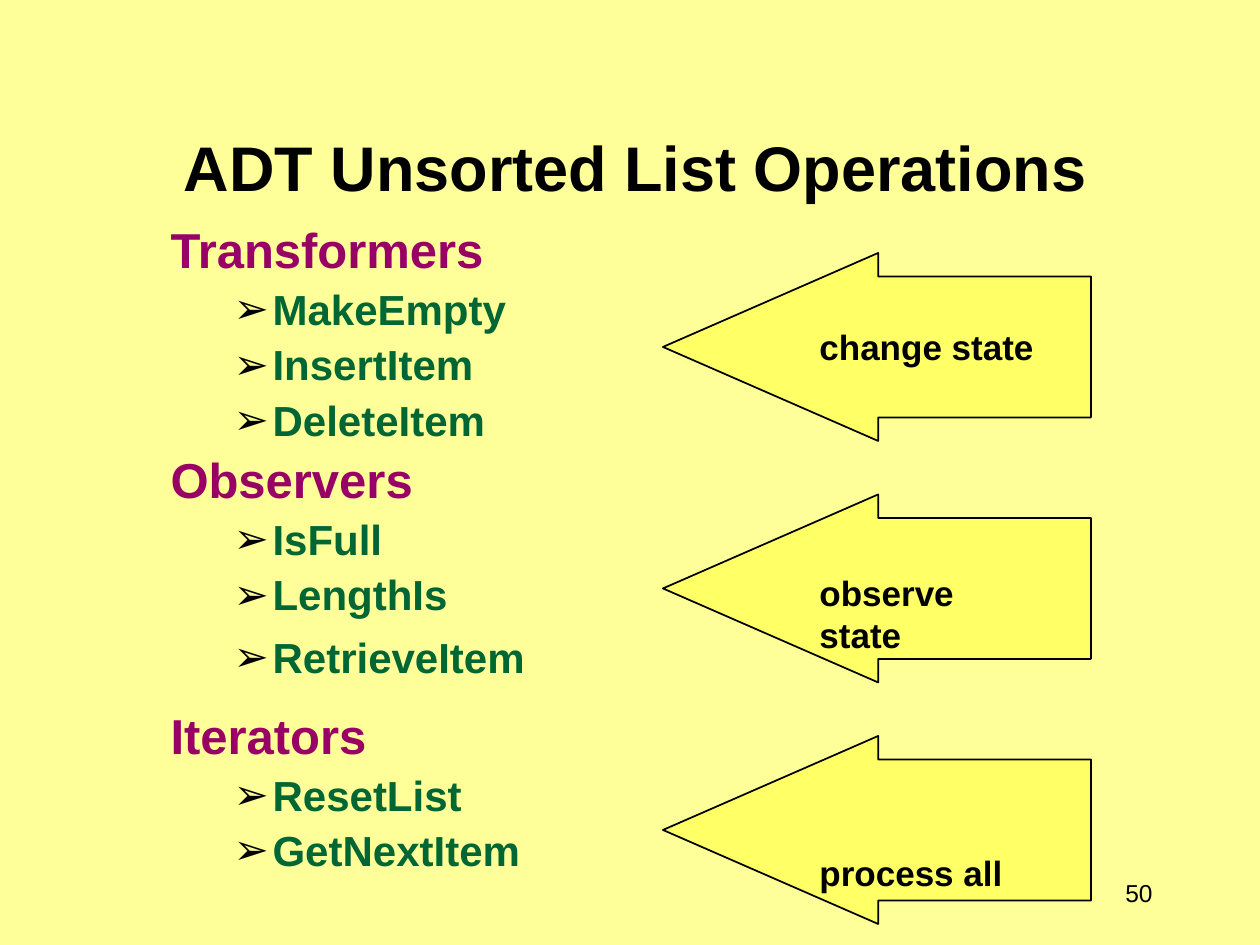
from lxml import etree
from pptx import Presentation
from pptx.dml.color import RGBColor
from pptx.enum.shapes import MSO_SHAPE
from pptx.enum.text import MSO_ANCHOR, MSO_AUTO_SIZE, PP_ALIGN
from pptx.oxml.ns import qn
from pptx.util import Emu, Pt

PX = 914400 / 126
BLACK = RGBColor(0x00, 0x00, 0x00)
PALE_YELLOW = RGBColor(0xFF, 0xFF, 0x99)
YELLOW = RGBColor(0xFF, 0xFF, 0x66)
PURPLE = RGBColor(0x99, 0x00, 0x66)
GREEN = RGBColor(0x00, 0x66, 0x33)

# Heading, space before it, and its operations with their space before
SECTIONS = [
    ("Transformers", 0, [("MakeEmpty", 10), ("InsertItem", 10), ("DeleteItem", 10)]),
    ("Observers", 11, [("IsFull", 10), ("LengthIs", 10), ("RetrieveItem", 17)]),
    ("Iterators", 30, [("ResetList", 10), ("GetNextItem", 10)]),
]
# Label and space before it
LABELS = [("change state", 0), ("observe state", 204), ("process all", 196)]


def px(n):
    return Emu(round(n * PX))


def place(sp, box):
    sp.left, sp.top, sp.width, sp.height = (px(n) for n in box)


def add_run(p, text, size, color=BLACK, bold=True):
    r = p.add_run()
    r.text = text
    r.font.name = "Arial"
    r.font.size = Pt(size)
    r.font.bold = bold
    r.font.color.rgb = color


def next_paragraph(tf):
    """Return the empty first paragraph, or a new one after the text."""
    first = tf.paragraphs[0]
    return tf.add_paragraph() if first.runs else first


def set_bullet(p, char, indent, hanging):
    """Indent the paragraph and give it a bullet, or none if char is empty."""
    pPr = p._p.get_or_add_pPr()
    pPr.set("marL", str(px(indent)))
    pPr.set("indent", str(-px(hanging)))
    if not char:
        etree.SubElement(pPr, qn("a:buNone"))
        return
    color = etree.SubElement(pPr, qn("a:buClr"))
    etree.SubElement(color, qn("a:srgbClr"), val=str(BLACK))
    etree.SubElement(pPr, qn("a:buFont"), typeface="Arial")
    etree.SubElement(pPr, qn("a:buChar"), char=char)


def fill_title(sp, box):
    place(sp, box)
    tf = sp.text_frame
    tf.auto_size = MSO_AUTO_SIZE.NONE
    tf.vertical_anchor = MSO_ANCHOR.BOTTOM
    p = tf.paragraphs[0]
    p.alignment = PP_ALIGN.CENTER
    add_run(p, "ADT Unsorted List Operations", 36)


def fill_operations(sp, box):
    place(sp, box)
    tf = sp.text_frame
    tf.auto_size = MSO_AUTO_SIZE.NONE

    def add_line(text, level, space):
        p = next_paragraph(tf)
        p.level = level
        if level:
            set_bullet(p, "➢", 102, 39)
            add_run(p, text, 24, GREEN)
        else:
            set_bullet(p, "", 47, 47)
            add_run(p, text, 28, PURPLE)
        p.line_spacing = 0.9
        p.space_before = px(space)

    for heading, space, operations in SECTIONS:
        add_line(heading, 0, space)
        for name, gap in operations:
            add_line(name, 1, gap)


def add_arrows(s, box):
    """Stack one arrow per label at equal steps, with the labels over them."""
    left, top, width, height = box
    arrow_height, step = 188, (height - 188) / (len(LABELS) - 1)
    shapes = s.shapes.add_group_shape().shapes
    for i in range(len(LABELS)):
        sp = shapes.add_shape(MSO_SHAPE.LEFT_ARROW, px(left), px(top + i * step),
                              px(width), px(arrow_height))
        sp.adjustments[0] = 0.75
        sp.adjustments[1] = 1.145
        sp.shadow.inherit = False
        sp.fill.solid()
        sp.fill.fore_color.rgb = YELLOW
        sp.line.color.rgb = BLACK
        sp.line.width = Pt(1)

    tf = shapes.add_textbox(px(left + 144), px(top + 66), px(245), px(533)).text_frame
    tf.word_wrap = True
    for label, space in LABELS:
        p = next_paragraph(tf)
        p.space_before = px(space)
        add_run(p, label, 20)


def add_page_number(s, box):
    tf = s.shapes.add_textbox(*(px(n) for n in box)).text_frame
    tf.word_wrap = True
    tf.vertical_anchor = MSO_ANCHOR.MIDDLE
    p = tf.paragraphs[0]
    p.alignment = PP_ALIGN.RIGHT
    add_run(p, "50", 14, bold=False)


def main():
    prs = Presentation()
    prs.slide_width, prs.slide_height = px(1260), px(945)
    s = prs.slides.add_slide(prs.slide_layouts[1])
    s.background.fill.solid()
    s.background.fill.fore_color.rgb = PALE_YELLOW
    fill_title(s.shapes.title, (42, 126, 1187, 84))
    fill_operations(s.placeholders[1], (158, 220, 892, 672))
    add_arrows(s, (663, 253, 428, 671))
    add_page_number(s, (1081, 861, 84, 63))
    prs.save("out.pptx")


if __name__ == "__main__":
    main()
